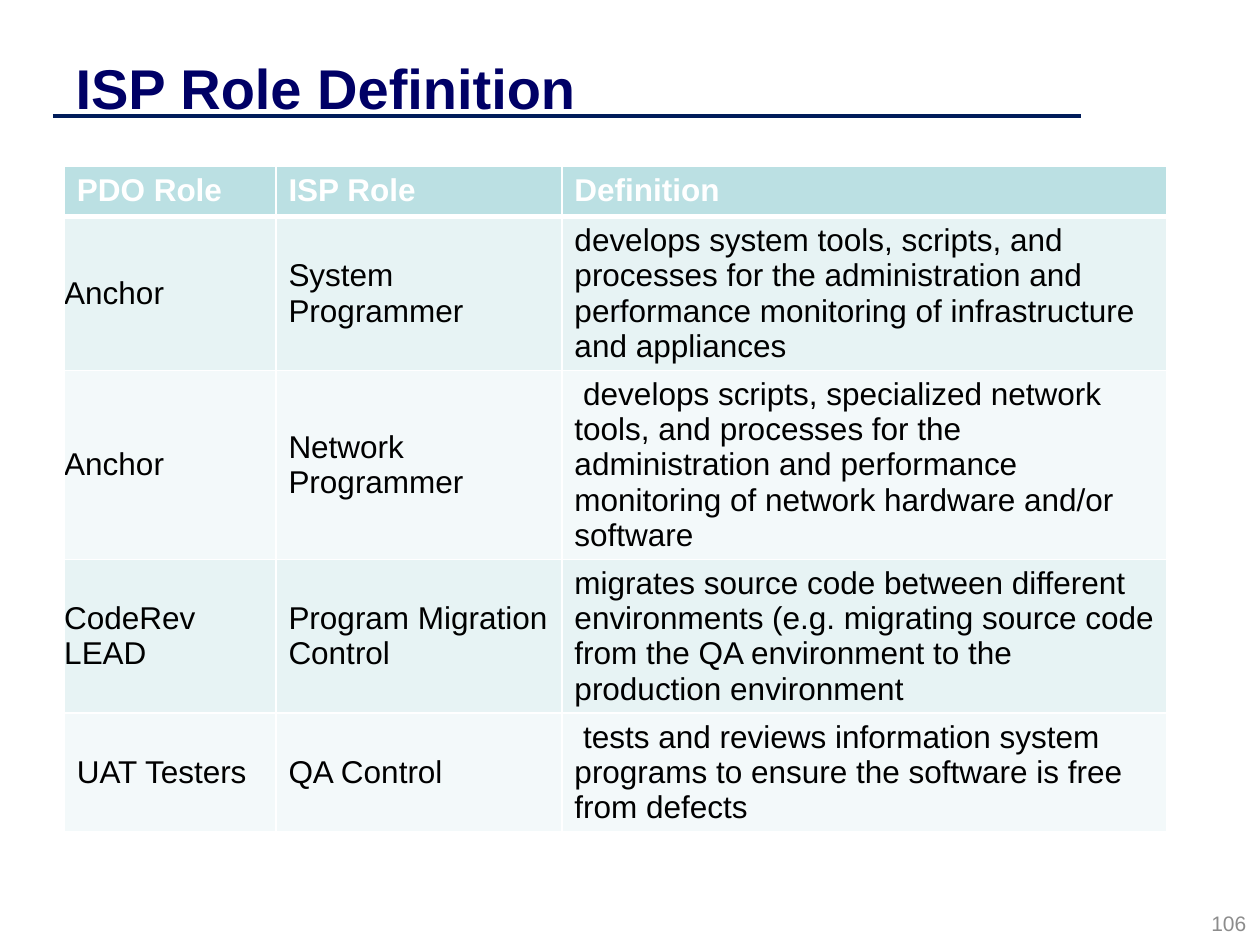
from dataclasses import dataclass

from lxml import etree
from pptx import Presentation
from pptx.dml.color import RGBColor
from pptx.enum.shapes import MSO_CONNECTOR
from pptx.enum.text import MSO_ANCHOR, MSO_AUTO_SIZE, PP_ALIGN
from pptx.oxml.ns import qn
from pptx.util import Inches, Pt

LINE = MSO_CONNECTOR.STRAIGHT
TOP, MID = MSO_ANCHOR.TOP, MSO_ANCHOR.MIDDLE
LEFT, RIGHT = PP_ALIGN.LEFT, PP_ALIGN.RIGHT
FIXED = MSO_AUTO_SIZE.NONE


@dataclass(frozen=True)
class Theme:
    font: str = "Arial"
    title: str = "000066"
    rule: str = "001C5A"
    head: str = "BBE0E3"
    bands: tuple = ("E7F3F4", "F3F9FA")
    white: str = "FFFFFF"
    text: str = "000000"
    page: str = "8C8C8C"
    big: int = 32
    body: int = 18
    small: int = 12


THEME = Theme()
COLS = (1.68, 2.27, 4.8)
ROWS = (0.4, 1.22, 1.5, 1.22, 0.94)
ROLES = (
    ("PDO Role", "ISP Role", "Definition"),
    ("Anchor", "System Programmer",
     "develops system tools, scripts, and processes for the administration "
     "and performance monitoring of infrastructure and appliances"),
    ("Anchor", "Network Programmer",
     " develops scripts, specialized network tools, and processes for the "
     "administration and performance monitoring of network hardware and/or "
     "software"),
    ("CodeRev LEAD", "Program Migration Control",
     "migrates source code between different environments (e.g. migrating "
     "source code from the QA environment to the production environment"),
    ("UAT Testers", "QA Control",
     " tests and reviews information system programs to ensure the software "
     "is free from defects"),
)
FLUSH_ROWS = (1, 2, 3)


def apply(item, values):
    for name, value in values.items():
        setattr(item, name, value)


def write(frame, text, size, color, bold=False, align=LEFT):
    frame.text = text
    para = frame.paragraphs[0]
    para.alignment = align
    font = para.runs[0].font
    apply(font, {"name": THEME.font, "size": Pt(size), "bold": bold})
    font.color.rgb = RGBColor.from_string(color)


def add_rule(slide, x, y, width):
    rule = slide.shapes.add_connector(
        LINE, Inches(x), Inches(y), Inches(x + width), Inches(y))
    rule.line.color.rgb = RGBColor.from_string(THEME.rule)
    rule.line.width = Pt(2)
    etree.SubElement(rule._element.spPr, qn("a:effectLst"))


def add_title(slide, x, y, width, height):
    title = slide.shapes.title
    apply(title, {"left": Inches(x), "top": Inches(y),
                  "width": Inches(width), "height": Inches(height)})
    write(title.text_frame, "ISP Role Definition", THEME.big, THEME.title, True)
    apply(title.text_frame, {"vertical_anchor": MID, "auto_size": FIXED})


def add_edges(cell, base):
    """Draw white cell borders; base is the bottom width in points."""
    props = cell._tc.get_or_add_tcPr()
    for side, width in (("L", 1), ("R", 1), ("T", 1), ("B", base)):
        edge = etree.SubElement(props, qn(f"a:ln{side}"), w=str(Pt(width)))
        fill = etree.SubElement(edge, qn("a:solidFill"))
        etree.SubElement(fill, qn("a:srgbClr"), val=THEME.white)


def fill_cell(cell, text, row, col):
    head = row == 0
    add_edges(cell, 3 if head else 1)
    cell.fill.solid()
    shade = THEME.head if head else THEME.bands[(row - 1) % 2]
    cell.fill.fore_color.rgb = RGBColor.from_string(shade)
    write(cell.text_frame, text, THEME.body,
          THEME.white if head else THEME.text, head)
    cell.vertical_anchor = TOP if head or col == 2 else MID
    if col == 0 and row in FLUSH_ROWS:
        apply(cell, {f"margin_{side}": 0
                     for side in ("left", "right", "top", "bottom")})


def add_roles(slide, x, y):
    table = slide.shapes.add_table(
        len(ROWS), len(COLS), Inches(x), Inches(y),
        Inches(sum(COLS)), Inches(sum(ROWS))).table
    for col, width in zip(table.columns, COLS):
        col.width = Inches(width)
    for row, height in zip(table.rows, ROWS):
        row.height = Inches(height)
    for row, texts in enumerate(ROLES):
        for col, text in enumerate(texts):
            fill_cell(table.cell(row, col), text, row, col)


def add_page(slide, x, y, width, height):
    box = slide.shapes.add_textbox(
        Inches(x), Inches(y), Inches(width), Inches(height))
    apply(box.text_frame, {"word_wrap": True, "vertical_anchor": MID})
    write(box.text_frame, "106", THEME.small, THEME.page, align=RIGHT)


def main():
    deck = Presentation()
    apply(deck, {"slide_width": Inches(10), "slide_height": Inches(7.5)})
    slide = deck.slides.add_slide(deck.slide_layouts[5])
    add_rule(slide, 0.42, 0.92, 8.16)
    add_title(slide, 0.5, 0.3, 8, 0.78)
    add_roles(slide, 0.51, 1.32)
    add_page(slide, 7.66, 7.16, 2.33, 0.34)
    deck.save("out.pptx")


if __name__ == "__main__":
    main()
